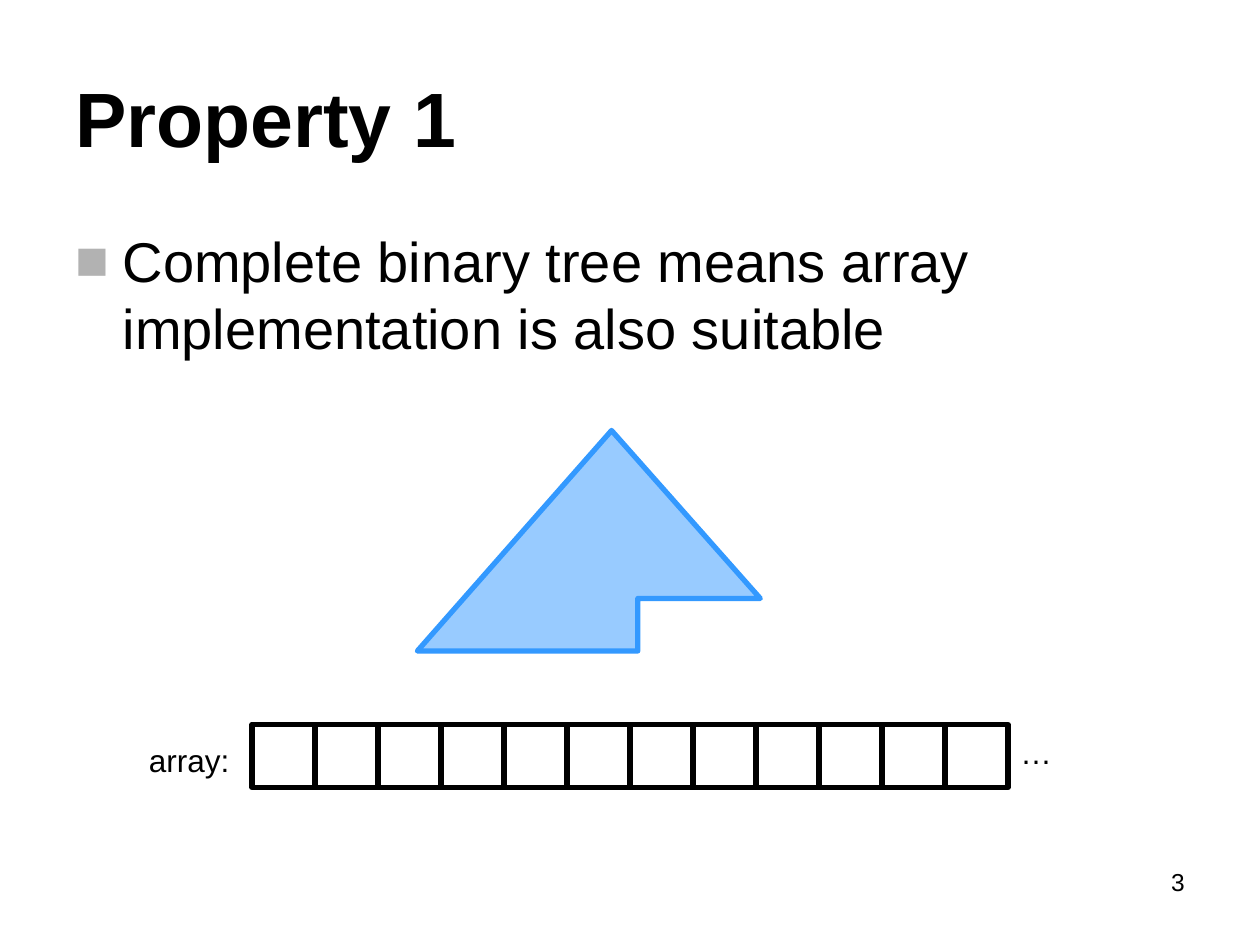
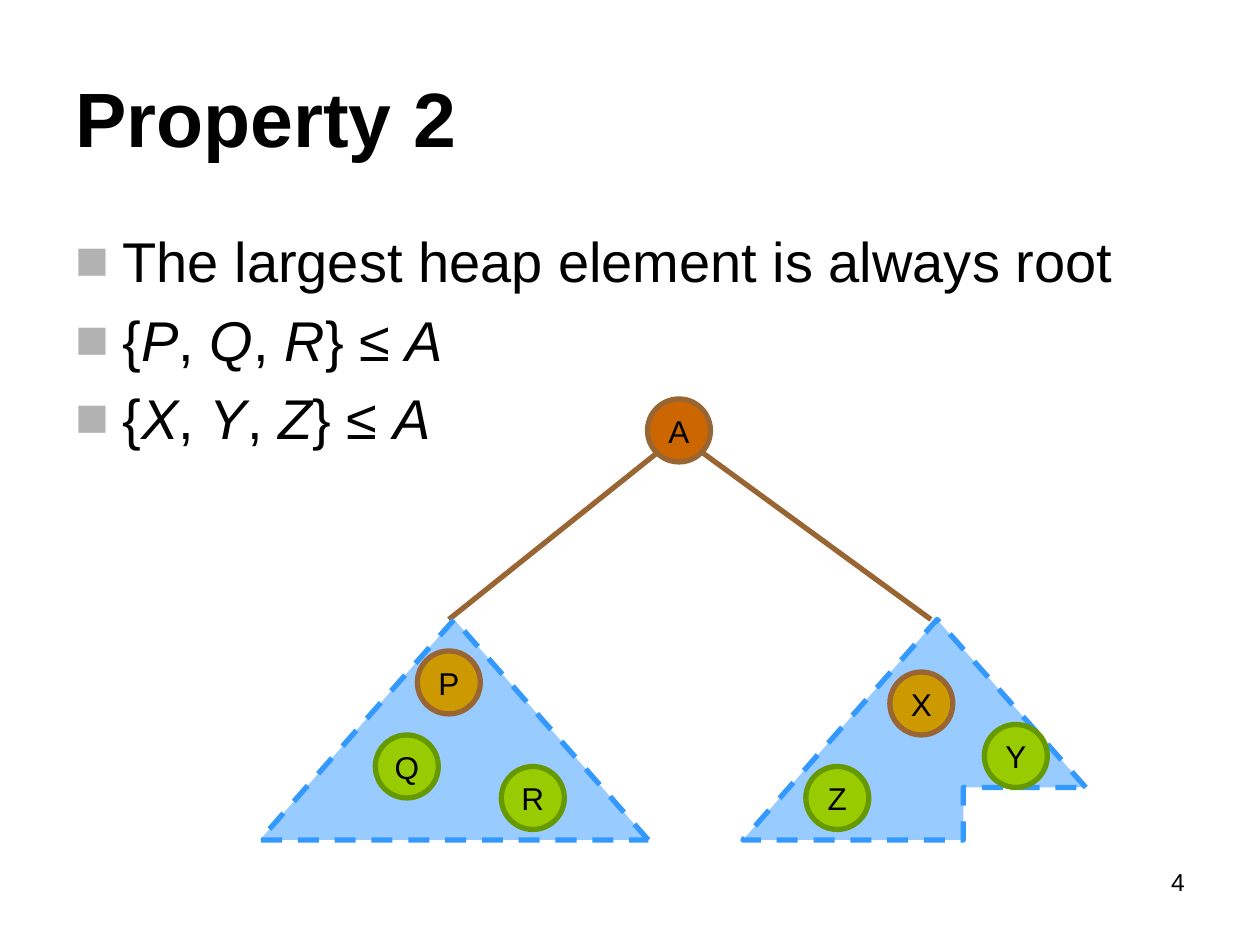
from lxml.etree import SubElement
from pptx import Presentation
from pptx.dml.color import RGBColor
from pptx.enum.dml import MSO_LINE
from pptx.enum.shapes import MSO_CONNECTOR, MSO_SHAPE
from pptx.enum.text import MSO_ANCHOR, PP_ALIGN
from pptx.oxml.ns import qn
from pptx.util import Pt

BLACK = RGBColor(0x00, 0x00, 0x00)
WHITE = RGBColor(0xFF, 0xFF, 0xFF)
BLUE = RGBColor(0x33, 0x99, 0xFF)
BROWN = RGBColor(0x99, 0x66, 0x33)
ORANGE = RGBColor(0xCC, 0x66, 0x00)
GOLD = RGBColor(0xCC, 0x99, 0x00)
LIME = RGBColor(0x99, 0xCC, 0x00)
GREEN = RGBColor(0x66, 0x99, 0x00)
BULLET_GRAY = "B2B2B2"

TITLE = {"size": Pt(44), "bold": True}
BODY = {"size": Pt(32)}
LABEL = {"size": Pt(18)}
NUMBER = {"size": Pt(14)}

CELL = 36
TRIANGLE = [(222, 126), (111, 0), (0, 126)]
NOTCHED = [(196, 96), (111, 0), (0, 126), (126, 126), (126, 96)]


def write(shape, paragraphs, style, align=PP_ALIGN.LEFT, anchor=MSO_ANCHOR.TOP, wrap=True):
    tf = shape.text_frame
    tf.word_wrap = wrap
    tf.vertical_anchor = anchor
    for i, text in enumerate(paragraphs):
        p = tf.add_paragraph() if i else tf.paragraphs[0]
        p.alignment = align
        for j, part in enumerate(text.split("*")):
            if part:
                r = p.add_run()
                r.text = part
                r.font.name = "Arial"
                r.font.color.rgb = BLACK
                for name, value in style.items():
                    setattr(r.font, name, value)
                if j % 2:
                    r.font.italic = True
    return tf


def add_subtree(s, left, top, outline, dash):
    (x, y), *rest = outline
    builder = s.shapes.build_freeform(x, y, scale=Pt(1))
    builder.add_line_segments(rest, close=True)
    sp = builder.convert_to_shape(Pt(left), Pt(top))
    sp.shadow.inherit = False
    sp.fill.solid()
    sp.fill.fore_color.rgb = BLUE
    color = sp.fill._xPr.find(qn("a:solidFill"))[0]
    SubElement(color, qn("a:alpha"), val="50000")
    sp.line.color.rgb = BLUE
    sp.line.width = Pt(3)
    sp.line.dash_style = dash


prs = Presentation()
prs.slide_width, prs.slide_height = Pt(720), Pt(540)

slides = []
for number, title, points in [
    (3, "Property 1", ["Complete binary tree means array implementation is also suitable"]),
    (4, "Property 2", ["The largest heap element is always root",
                       "{*P*, *Q*, *R*} ≤ *A*", "{*X*, *Y*, *Z*} ≤ *A*"]),
]:
    s = prs.slides.add_slide(prs.slide_layouts[6])
    slides.append(s)
    box = s.shapes.add_textbox(Pt(516), Pt(492), Pt(168), Pt(37.5))
    write(box, [str(number)], NUMBER, PP_ALIGN.RIGHT)
    box = s.shapes.add_textbox(Pt(36), Pt(21.6), Pt(648), Pt(90))
    write(box, [title], TITLE, anchor=MSO_ANCHOR.MIDDLE)
    box = s.shapes.add_textbox(Pt(36), Pt(126), Pt(648), Pt(356.5))
    for i, p in enumerate(write(box, points, BODY).paragraphs):
        pPr = p._p.get_or_add_pPr()
        pPr.set("marL", str(Pt(27)))
        pPr.set("indent", str(Pt(-27)))
        SubElement(SubElement(pPr, qn("a:buClr")), qn("a:srgbClr"), val=BULLET_GRAY)
        SubElement(pPr, qn("a:buFont"), typeface="Arial")
        SubElement(pPr, qn("a:buChar"), char="■")
        if i:
            p.space_before = Pt(6.4)

array_slide, heap_slide = slides

s = array_slide
add_subtree(s, 238.5, 246, NOTCHED, MSO_LINE.SOLID)
for i in range(12):
    sp = s.shapes.add_shape(MSO_SHAPE.RECTANGLE, Pt(144 + i * CELL), Pt(414), Pt(CELL), Pt(CELL))
    sp.shadow.inherit = False
    sp.fill.solid()
    sp.fill.fore_color.rgb = WHITE
    sp.line.color.rgb = BLACK
    sp.line.width = Pt(3)
for text, left, top, width in [("array:", 78, 420, 78), ("…", 576, 415.5, 30)]:
    write(s.shapes.add_textbox(Pt(left), Pt(top), Pt(width), Pt(28.8)), [text], LABEL)

s = heap_slide
for x1, x2 in [(256.5, 376.5), (532, 400.5)]:
    edge = s.shapes.add_connector(MSO_CONNECTOR.STRAIGHT, Pt(x1), Pt(354), Pt(x2), Pt(258))
    edge.line.color.rgb = BROWN
    edge.line.width = Pt(3)
    SubElement(edge._element.spPr, qn("a:effectLst"))
add_subtree(s, 148.5, 354, TRIANGLE, MSO_LINE.DASH)
add_subtree(s, 424.5, 354, NOTCHED, MSO_LINE.DASH)
for name, left, top, fill, line in [
    ("A", 370, 228, ORANGE, BROWN),
    ("P", 238.5, 372, GOLD, BROWN),
    ("Q", 214.5, 420, LIME, GREEN),
    ("R", 286.5, 438, LIME, GREEN),
    ("X", 508.5, 384, GOLD, BROWN),
    ("Y", 562.5, 414, LIME, GREEN),
    ("Z", 460.5, 438, LIME, GREEN),
]:
    node = s.shapes.add_shape(MSO_SHAPE.OVAL, Pt(left), Pt(top), Pt(36), Pt(36))
    node.shadow.inherit = False
    node.fill.solid()
    node.fill.fore_color.rgb = fill
    node.line.color.rgb = line
    node.line.width = Pt(3)
    write(node, [name], LABEL, PP_ALIGN.CENTER, MSO_ANCHOR.MIDDLE, wrap=False)

prs.save("out.pptx")
